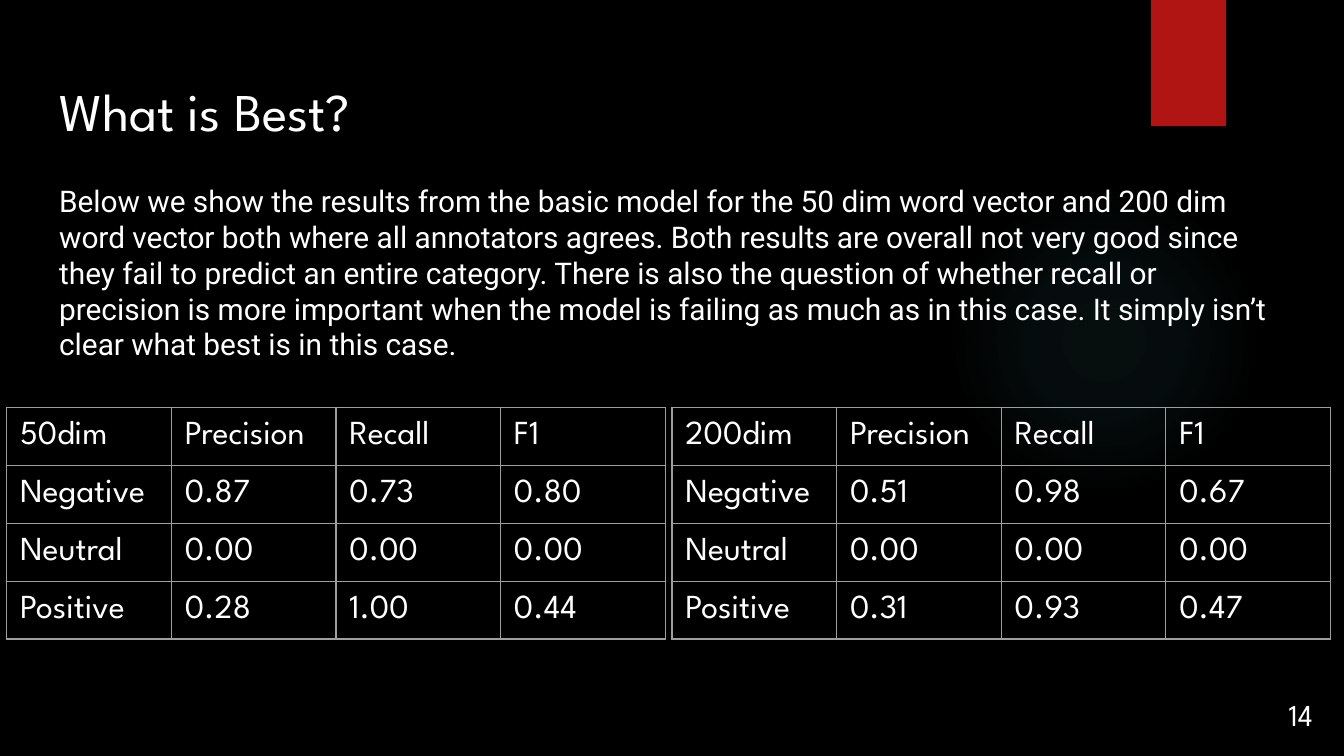
from dataclasses import dataclass

from lxml import etree
from pptx import Presentation
from pptx.dml.color import RGBColor
from pptx.enum.shapes import MSO_SHAPE
from pptx.enum.text import MSO_ANCHOR, MSO_AUTO_SIZE, PP_ALIGN
from pptx.oxml import parse_xml
from pptx.util import Inches, Pt

OVAL, RECT = MSO_SHAPE.OVAL, MSO_SHAPE.RECTANGLE
TOP, MIDDLE = MSO_ANCHOR.TOP, MSO_ANCHOR.MIDDLE
LEFT, RIGHT = PP_ALIGN.LEFT, PP_ALIGN.RIGHT
NO_FIT = MSO_AUTO_SIZE.NONE

NS = "http://schemas.openxmlformats.org/drawingml/2006/main"
WIDTH = 10
HEIGHT = WIDTH * 9 / 16
MARGIN, COLUMN = 3.4, 93.2
TABLE_TOP, TABLE_WIDTH, ROW_HEIGHT = 53.9, 49, 7.64
BLACK, WHITE, RED, TEAL, GREY = "000000", "FFFFFF", "B01513", "50B9C1", "9E9E9E"
HEAD_FONT, BODY_FONT = "League Spartan", "Roboto"
METRICS = ("Precision", "Recall", "F1")
CLASSES = ("Negative", "Neutral", "Positive")
BODY = (
    "Below we show the results from the basic model for the 50 dim word vector "
    "and 200 dim word vector both where all annotators agrees. Both results are "
    "overall not very good since they fail to predict an entire category. There "
    "is also the question of whether recall or precision is more important when "
    "the model is failing as much as in this case. It simply isn’t clear what "
    "best is in this case."
)


@dataclass(frozen=True)
class Box:
    """A rectangle given in percent of the slide's width and height."""

    left: float
    top: float
    width: float
    height: float

    def emu(self) -> tuple:
        """Return left, top, width and height as lengths."""
        return (Inches(self.left * WIDTH / 100), Inches(self.top * HEIGHT / 100),
                Inches(self.width * WIDTH / 100), Inches(self.height * HEIGHT / 100))


@dataclass(frozen=True)
class Style:
    """The look of a run of text."""

    size: float
    font: str = HEAD_FONT


@dataclass(frozen=True)
class Results:
    """The scores of one word vector size."""

    name: str
    left: float
    scores: tuple

    def rows(self) -> list:
        """Return the header row and one row per class."""
        return [(self.name, *METRICS)] + [(c, *v) for c, v in zip(CLASSES, self.scores)]


RESULTS = (
    Results("50dim", 0.5, (("0.87", "0.73", "0.80"), ("0.00", "0.00", "0.00"),
                           ("0.28", "1.00", "0.44"))),
    Results("200dim", 50, (("0.51", "0.98", "0.67"), ("0.00", "0.00", "0.00"),
                           ("0.31", "0.93", "0.47"))),
)


def rgb(value: str) -> RGBColor:
    """Turn a hex string into a colour."""
    return RGBColor.from_string(value)


def write(tf, text: str, style: Style, align=LEFT) -> None:
    """Write one white run into the first paragraph of a text frame."""
    p = tf.paragraphs[0]
    p.alignment = align
    r = p.add_run()
    r.text = text
    r.font.size, r.font.name = Pt(style.size), style.font
    r.font.color.rgb = rgb(WHITE)


def fill_text(sp, box: Box, text: str, style: Style, align=LEFT, anchor=TOP) -> None:
    """Place a text shape, set its insets and write its text."""
    sp.left, sp.top, sp.width, sp.height = box.emu()
    tf = sp.text_frame
    tf.word_wrap, tf.auto_size, tf.vertical_anchor = True, NO_FIT, anchor
    tf.margin_left = tf.margin_right = tf.margin_top = tf.margin_bottom = Inches(0.1)
    write(tf, text, style, align)


def add_glow(s, box: Box) -> None:
    """Add the faint round glow behind everything else."""
    sp = s.shapes.add_shape(OVAL, *box.emu())
    sp.shadow.inherit = False
    sp.line.fill.background()
    stops = "".join(
        f'<a:gs pos="{pos}000"><a:srgbClr val="{TEAL}"><a:alpha val="{alpha}000"/>'
        f"</a:srgbClr></a:gs>" for pos, alpha in ((0, 7), (36, 6), (69, 0)))
    sp._element.spPr.find(f"{{{NS}}}prstGeom").addnext(parse_xml(
        f'<a:gradFill xmlns:a="{NS}"><a:gsLst>{stops}</a:gsLst><a:path path="circle">'
        '<a:fillToRect l="50000" t="50000" r="50000" b="50000"/></a:path></a:gradFill>'))
    s.shapes._spTree.insert(2, sp._element)


def add_ribbon(s, box: Box) -> None:
    """Add the red ribbon with its soft shadow."""
    sp = s.shapes.add_shape(RECT, *box.emu())
    sp.fill.solid()
    sp.fill.fore_color.rgb = rgb(RED)
    sp.line.fill.background()
    sp.shadow.inherit = False
    effects = sp._element.spPr.find(f"{{{NS}}}effectLst")
    effects.append(parse_xml(
        f'<a:outerShdw xmlns:a="{NS}" blurRad="{Pt(3)}" dist="{Pt(2)}" dir="5400000" '
        f'rotWithShape="0"><a:srgbClr val="{BLACK}"><a:alpha val="45000"/></a:srgbClr>'
        "</a:outerShdw>"))


def add_borders(cell) -> None:
    """Draw a thin grey line on each side of a cell."""
    tc_pr = cell._tc.get_or_add_tcPr()
    for i, side in enumerate(("lnL", "lnR", "lnT", "lnB")):
        ln = etree.Element(f"{{{NS}}}{side}", w=str(Pt(0.75)))
        fill = etree.SubElement(ln, f"{{{NS}}}solidFill")
        etree.SubElement(fill, f"{{{NS}}}srgbClr", val=GREY)
        tc_pr.insert(i, ln)


def add_results(s, results: Results) -> None:
    """Add one table of scores."""
    rows = results.rows()
    box = Box(results.left, TABLE_TOP, TABLE_WIDTH, ROW_HEIGHT * len(rows))
    table = s.shapes.add_table(len(rows), len(rows[0]), *box.emu()).table
    table.first_row = table.horz_banding = False
    for i, row in enumerate(rows):
        for j, text in enumerate(row):
            cell = table.cell(i, j)
            cell.fill.background()
            cell.margin_left = cell.margin_right = Inches(0.1)
            cell.margin_top = cell.margin_bottom = Inches(0.1)
            write(cell.text_frame, text, Style(18))
            add_borders(cell)


def main() -> None:
    """Build the slide and save it."""
    prs = Presentation()
    prs.slide_width, prs.slide_height = Inches(WIDTH), Inches(HEIGHT)
    s = prs.slides.add_slide(prs.slide_layouts[1])
    s.background.fill.solid()
    s.background.fill.fore_color.rgb = rgb(BLACK)
    add_glow(s, Box(70.6, 24.5, 23.1, 41.1))
    add_ribbon(s, Box(85.63, 0, 5.6, 16.7))

    fill_text(s.shapes.title, Box(MARGIN, 8.65, COLUMN, 11.2),
              "What is Best?", Style(28.4))
    body = s.placeholders[1]
    fill_text(body, Box(MARGIN, 22.4, COLUMN, 27.8), BODY, Style(16, BODY_FONT))
    p = body.text_frame.paragraphs[0]
    p.space_before = Pt(12)
    p_pr = p._p.get_or_add_pPr()
    p_pr.set("marL", "0")
    p_pr.set("indent", "0")
    etree.SubElement(p_pr, f"{{{NS}}}buNone")

    for results in RESULTS:
        add_results(s, results)
    box = Box(92.67, 90.7, 6, 7.7)
    fill_text(s.shapes.add_textbox(*box.emu()), box, "14", Style(16.3), RIGHT, MIDDLE)
    prs.save("out.pptx")


if __name__ == "__main__":
    main()
